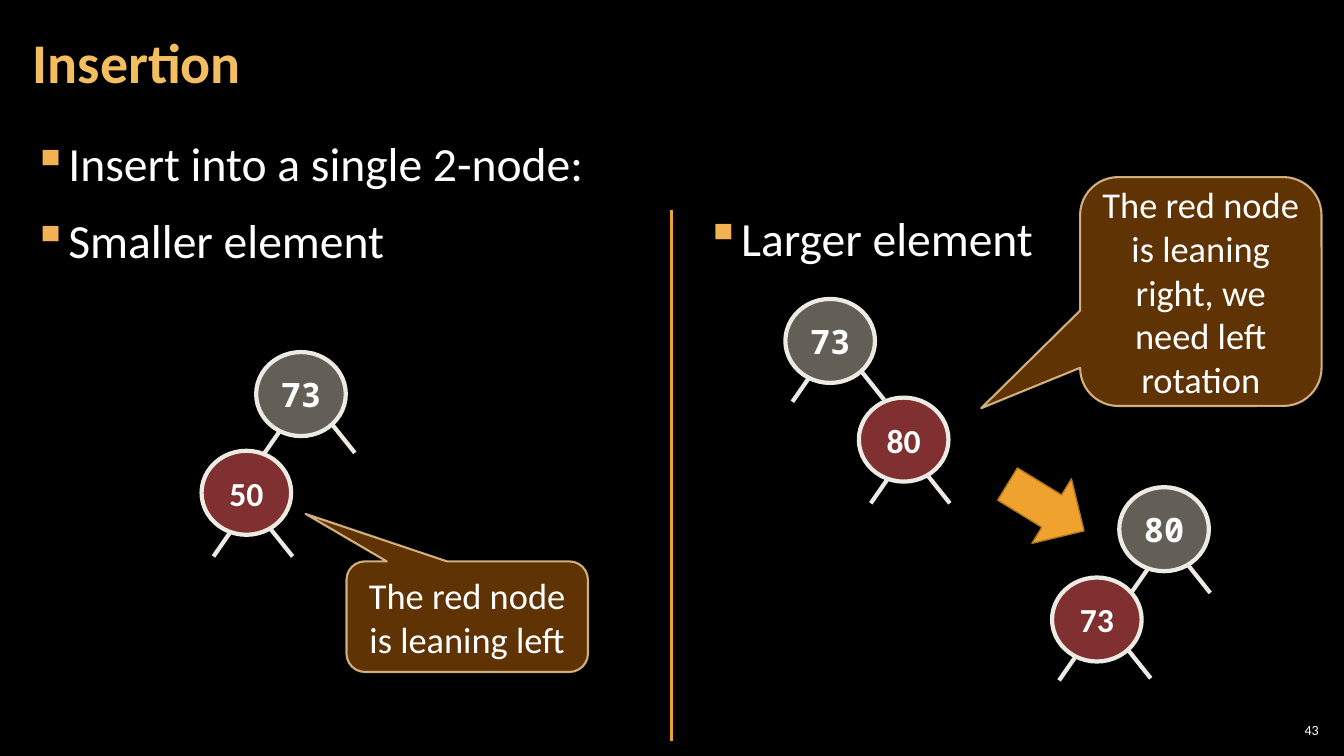
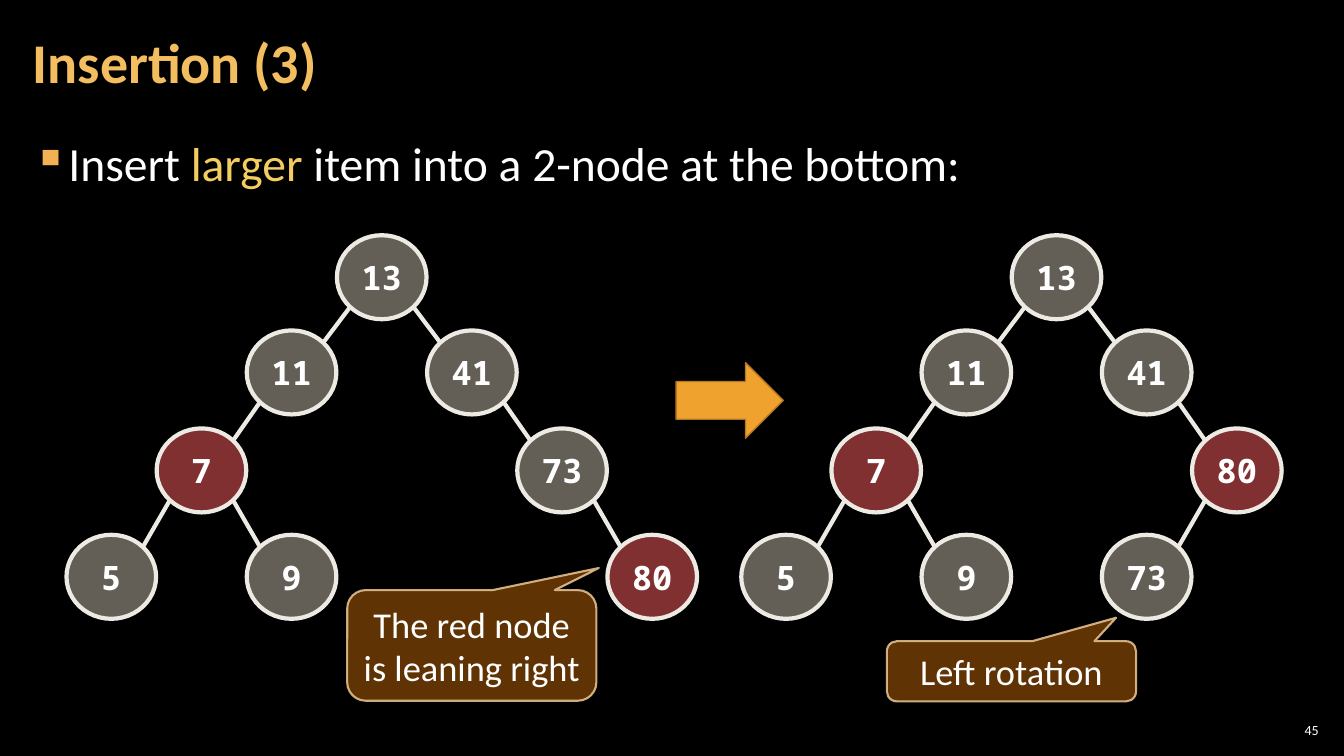
from lxml import etree
from pptx import Presentation
from pptx.dml.color import RGBColor
from pptx.enum import shapes, text
from pptx.oxml.ns import qn
from pptx.util import Pt

COLORS = {
    "background": "000000", "title": "F3BE60", "body": "FFFFFF",
    "bullet": "F2B254", "highlight": "F3CD60", "accent": "F0A22E",
    "arrow_line": "B27822", "black_node": "C7BFAC", "red_node": "FF6161",
    "node_line": "ECEAE3", "callout": "663606", "callout_line": "F8D49E",
}
SANS, MONO = "Calibri", "Noto Sans Mono"
NODE_WIDTH, NODE_HEIGHT = 64, 60
COLUMN_STEP = 64.4
ROW_TOPS = (0, 68, 138, 214)
# Open child links, relative to the node's top left corner
NARROW_LINKS = ((21, 57.5, 8.5, 75.5), (49, 55.5, 65, 75.5))
WIDE_LINKS = ((17.5, 55.5, 5, 73.5), (54.5, 52, 70.5, 72))


def rgb(name):
    return RGBColor.from_string(COLORS[name])


def set_alpha(paint, percent):
    """Make a solid fill partly transparent."""
    color = paint._xPr.find(qn("a:solidFill"))[0]
    etree.SubElement(color, qn("a:alpha")).set("val", str(percent * 1000))


def style_shape(shape, fill, line, width, fill_alpha=None, line_alpha=None):
    shape.shadow.inherit = False
    shape.fill.solid()
    shape.fill.fore_color.rgb = rgb(fill)
    shape.line.width = Pt(width)
    shape.line.color.rgb = rgb(line)
    if fill_alpha:
        set_alpha(shape.fill, fill_alpha)
    if line_alpha:
        set_alpha(shape.line.fill, line_alpha)


def add_bullet(para):
    properties = para._p.get_or_add_pPr()
    properties.set("marL", str(Pt(24)))
    properties.set("indent", str(-Pt(24)))
    color = etree.SubElement(properties, qn("a:buClr"))
    etree.SubElement(color, qn("a:srgbClr")).set("val", COLORS["bullet"])
    etree.SubElement(properties, qn("a:buChar")).set("char", "▪")


def write(shape, paragraphs, size, font=SANS, color="body", bold=False,
          align=text.PP_ALIGN.LEFT, anchor=text.MSO_ANCHOR.MIDDLE, wrap=True,
          spacing=None, gap=0, bullet=False, insets=None):
    """Fill a shape; each paragraph is a list of words or (words, color)."""
    frame = shape.text_frame
    frame.word_wrap = wrap
    frame.vertical_anchor = anchor
    if insets:
        frame.margin_left = frame.margin_right = Pt(insets[0])
        frame.margin_top = frame.margin_bottom = Pt(insets[1])
    for index, pieces in enumerate(paragraphs):
        para = frame.add_paragraph() if index else frame.paragraphs[0]
        if bullet:
            add_bullet(para)
        para.alignment = align
        if spacing:
            para.line_spacing = spacing
        if gap:
            para.space_before = Pt(gap if index else 0)
            para.space_after = Pt(gap)
        for piece in pieces:
            words, tint = piece if isinstance(piece, tuple) else (piece, color)
            span = para.add_run()
            span.text = words
            span.font.name, span.font.size = font, Pt(size)
            span.font.bold = bold
            span.font.color.rgb = rgb(tint)


def add_text(page, left, top, width, height, paragraphs, size, **style):
    box = page.shapes.add_textbox(Pt(left), Pt(top), Pt(width), Pt(height))
    write(box, paragraphs, size, **style)


def add_body(page, left, top, width, height, paragraphs):
    add_text(page, left, top, width, height, paragraphs, 34, bullet=True,
             spacing=1.05, gap=6, anchor=text.MSO_ANCHOR.TOP, insets=(8.5, 3))


def add_line(page, x1, y1, x2, y2, color="node_line", width=3):
    line = page.shapes.add_connector(
        shapes.MSO_CONNECTOR.STRAIGHT, Pt(x1), Pt(y1), Pt(x2), Pt(y2))
    line.line.color.rgb = rgb(color)
    line.line.width = Pt(width)
    etree.SubElement(line._element.spPr, qn("a:effectLst"))


def add_preset(page, kind, left, top, width, height):
    return page.shapes.add_shape(kind, Pt(left), Pt(top), Pt(width), Pt(height))


def add_node(page, left, top, label, red=False, font=MONO, links=()):
    node = add_preset(page, shapes.MSO_SHAPE.OVAL, left, top, NODE_WIDTH, NODE_HEIGHT)
    style_shape(node, "red_node" if red else "black_node", "node_line", 3, fill_alpha=50)
    write(node, [[label]], 24, font=font, bold=True, wrap=False,
          align=text.PP_ALIGN.CENTER)
    for x1, y1, x2, y2 in links:
        add_line(page, left + x1, top + y1, left + x2, top + y2)


def add_callout(page, left, top, width, height, words, tip):
    callout = add_preset(page, shapes.MSO_SHAPE.ROUNDED_RECTANGULAR_CALLOUT,
                         left, top, width, height)
    callout.adjustments[0], callout.adjustments[1] = tip
    style_shape(callout, "callout", "callout_line", 1.5, fill_alpha=95, line_alpha=80)
    write(callout, [[words]], 26, align=text.PP_ALIGN.CENTER)


def add_arrow(page, left, top, width, height, rotation=0):
    arrow = add_preset(page, shapes.MSO_SHAPE.RIGHT_ARROW, left, top, width, height)
    arrow.rotation = rotation
    style_shape(arrow, "accent", "arrow_line", 1)


def add_tree(page, left, top, nodes, edges, red):
    """Place nodes by (column, row) and join parents to children."""
    corners = {label: (left + column * COLUMN_STEP, top + ROW_TOPS[row])
               for label, (column, row) in nodes.items()}
    for label, (x, y) in corners.items():
        add_node(page, x, y, label, red=label in red)
    near, far = 0.15, 0.85
    for parent, child in edges:
        (x1, y1), (x2, y2) = corners[parent], corners[child]
        start, end = (far, near) if x2 > x1 else (near, far)
        add_line(page, x1 + start * NODE_WIDTH, y1 + far * NODE_HEIGHT,
                 x2 + end * NODE_WIDTH, y2 + near * NODE_HEIGHT)


def add_page(deck, title, number, bullets):
    """Start a slide with its background, title, body and number."""
    page = deck.slides.add_slide(deck.slide_layouts[6])
    page.background.fill.solid()
    page.background.fill.fore_color.rgb = rgb("background")
    add_text(page, 911, 514, 34, 15, [[number]], 10,
             align=text.PP_ALIGN.RIGHT, insets=(3, 3))
    add_body(page, 15, 91, 930, 438, bullets)
    add_text(page, 15, 3, 769, 87, [[title]], 40, color="title", bold=True,
             spacing=0.9, insets=(8.5, 3))
    return page


def build_single_node(deck):
    page = add_page(deck, "Insertion", "43",
                    [["Insert into a single 2-node:"], ["Smaller element"]])
    add_line(page, 479.5, 150, 479.5, 529, color="accent", width=2)

    # Smaller element
    add_node(page, 144, 322, "50", red=True, font=SANS, links=NARROW_LINKS)
    add_node(page, 183, 251.5, "73", links=WIDE_LINKS)
    add_callout(page, 247.5, 401, 172.5, 79, "The red node is leaning left",
                (-0.67, -0.93))

    # Larger element, then the rotated result
    add_body(page, 495.5, 144, 428, 60, [["Larger element"]])
    add_node(page, 613.5, 284, "80", red=True, font=SANS, links=NARROW_LINKS)
    add_node(page, 561, 213.5, "73", links=WIDE_LINKS)
    add_callout(page, 771.5, 126.5, 172.5, 163.5,
                "The red node is leaning right, we need left rotation", (-0.91, 0.51))
    add_arrow(page, 715, 335.5, 64, 54, rotation=31.5)
    add_node(page, 799.5, 348, "80", links=NARROW_LINKS)
    add_node(page, 751.5, 412.5, "73", red=True, font=SANS, links=WIDE_LINKS)


def build_bottom_node(deck):
    page = add_page(deck, "Insertion (3)", "45", [
        ["Insert ", ("larger ", "highlight"), "item into a 2-node at the bottom:"]])
    shared_nodes = {"13": (3, 0), "11": (2, 1), "41": (4, 1),
                    "7": (1, 2), "5": (0, 3), "9": (2, 3)}
    shared_edges = [("13", "11"), ("13", "41"), ("11", "7"), ("7", "5"), ("7", "9")]
    red = {"7", "80"}

    # Before and after the rotation
    add_tree(page, 47.5, 168, {**shared_nodes, "73": (5, 2), "80": (6, 3)},
             shared_edges + [("41", "73"), ("73", "80")], red)
    add_tree(page, 529.5, 168, {**shared_nodes, "80": (5, 2), "73": (4, 3)},
             shared_edges + [("41", "80"), ("80", "73")], red)
    add_arrow(page, 483, 259, 76.5, 54)
    add_callout(page, 248, 421.5, 178, 79, "The red node is leaning right", (0.51, -0.7))
    add_callout(page, 633.5, 458, 178, 43, "Left rotation", (0.42, -0.89))


def main():
    deck = Presentation()
    deck.slide_width, deck.slide_height = Pt(960), Pt(540)
    build_single_node(deck)
    build_bottom_node(deck)
    deck.save("out.pptx")


if __name__ == "__main__":
    main()
